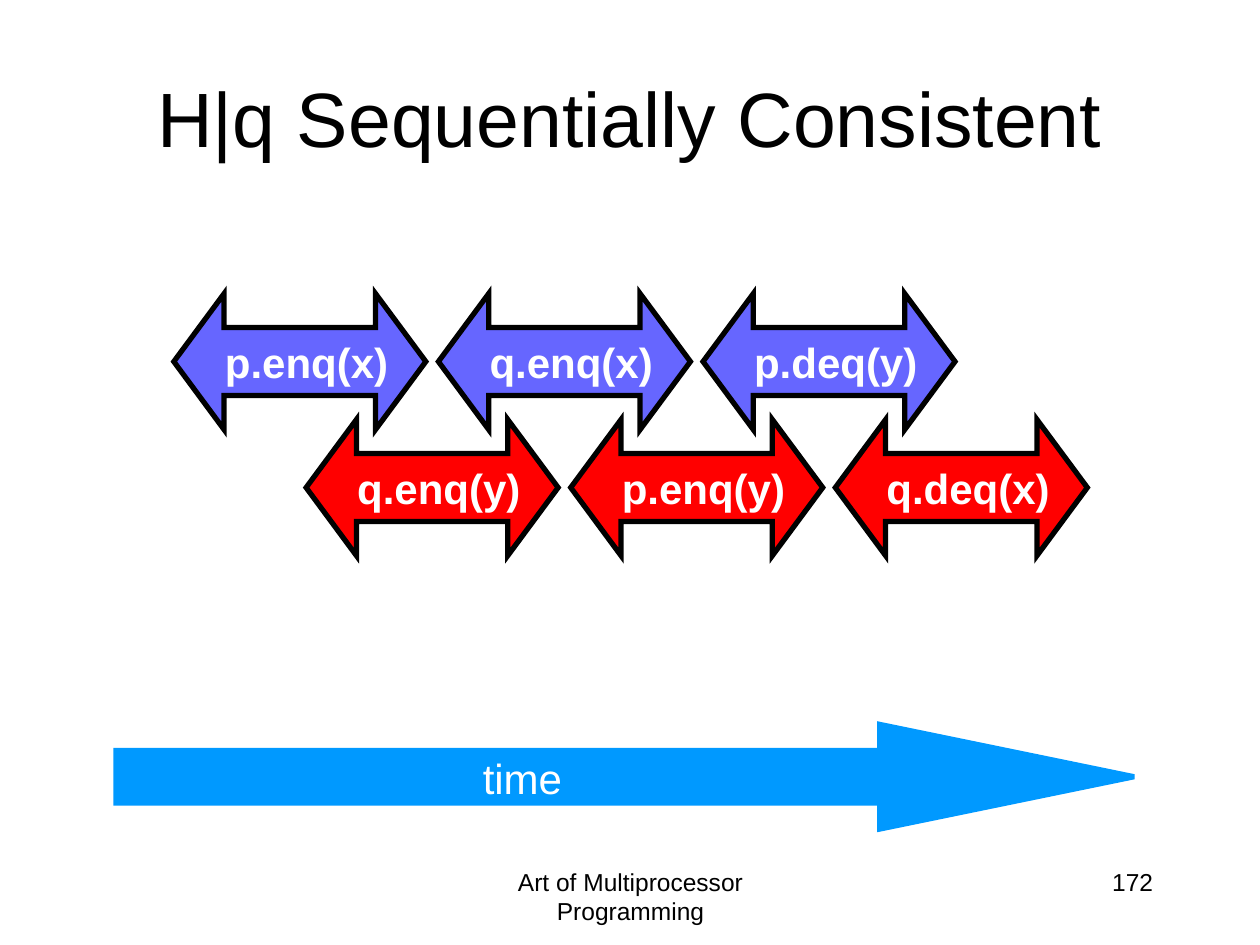
import pptx
import pptx.util
import pptx.dml.color
import pptx.enum.shapes
import pptx.enum.text
import pptx.oxml

Inches = pptx.util.Inches
Pt = pptx.util.Pt
SHAPE = pptx.enum.shapes.MSO_SHAPE
ALIGN = pptx.enum.text.PP_ALIGN
MIDDLE = pptx.enum.text.MSO_ANCHOR.MIDDLE
MITER = ('<a:miter xmlns:a="http://schemas.openxmlformats.org/'
         'drawingml/2006/main" lim="800000"/>')

CALL = {"size": Pt(24), "bold": True}
TIME = {"size": Pt(24), "bold": False}
NOTE = {"size": Pt(14), "bold": False}
HEAD = {"size": Pt(44), "bold": False}

# Each thread: left, top, fill, calls in time order
THREADS = [
    (1.38, 2.33, "6666FF", ["p.enq(x)", "q.enq(x)", "p.deq(y)"]),
    (2.43, 3.33, "FF0000", ["q.enq(y)", "p.enq(y)", "q.deq(x)"]),
]
STEP = 2.1


def color(code):
    return pptx.dml.color.RGBColor.from_string(code)


def write(shape, text, form, align, ink="000000", wrap=True):
    frame = shape.text_frame
    frame.word_wrap = wrap
    para = frame.paragraphs[0]
    para.text = text
    para.alignment = align
    font = para.font
    font.name = "Arial"
    font.color.rgb = color(ink)
    for name, value in form.items():
        setattr(font, name, value)


def add_text(slide, box, text, form, align, **style):
    shape = slide.shapes.add_textbox(*map(Inches, box))
    write(shape, text, form, align, **style)


def add_arrow(slide, kind, box, fill, line, head):
    """Add a block arrow; head is its length relative to the height."""
    shape = slide.shapes.add_shape(kind, *map(Inches, box))
    shape.shadow.inherit = False
    shape.adjustments[0] = 0.5
    shape.adjustments[1] = head
    shape.fill.solid()
    shape.fill.fore_color.rgb = color(fill)
    shape.line.color.rgb = color(line)
    shape.line.width = Pt(3)
    shape.line._get_or_add_ln().append(pptx.oxml.parse_xml(MITER))
    return shape


def add_thread(slide, left, top, fill, calls):
    for i, call in enumerate(calls):
        box = (left + i * STEP, top, 2, 1.08)
        arrow = add_arrow(slide, SHAPE.LEFT_RIGHT_ARROW, box, fill,
                          "000000", 0.37)
        arrow.text_frame.vertical_anchor = MIDDLE
        write(arrow, call, CALL, ALIGN.RIGHT, ink="FFFFFF", wrap=False)


def add_title(slide, text):
    title = slide.shapes.title
    title.left, title.top = Inches(0.5), Inches(0.3)
    title.width, title.height = Inches(9), Inches(1.25)
    title.text_frame.vertical_anchor = MIDDLE
    write(title, text, HEAD, ALIGN.CENTER)


def main():
    deck = pptx.Presentation()
    deck.slide_width, deck.slide_height = Inches(10), Inches(7.5)
    slide = deck.slides.add_slide(deck.slide_layouts[5])

    add_title(slide, "H|q Sequentially Consistent")
    for thread in THREADS:
        add_thread(slide, *thread)

    add_arrow(slide, SHAPE.RIGHT_ARROW, (0.92, 5.75, 8.08, 0.83),
              "0099FF", "0099FF", 2.43)
    add_text(slide, (3.73, 5.92, 0.83, 0.5), "time", TIME, ALIGN.RIGHT,
             ink="FFFFFF", wrap=False)

    add_text(slide, (3.42, 6.83, 3.17, 0.5),
             "Art of Multiprocessor Programming", NOTE, ALIGN.CENTER)
    add_text(slide, (7.17, 6.83, 2.08, 0.5), "172", NOTE, ALIGN.RIGHT)
    deck.save("out.pptx")


if __name__ == "__main__":
    main()
